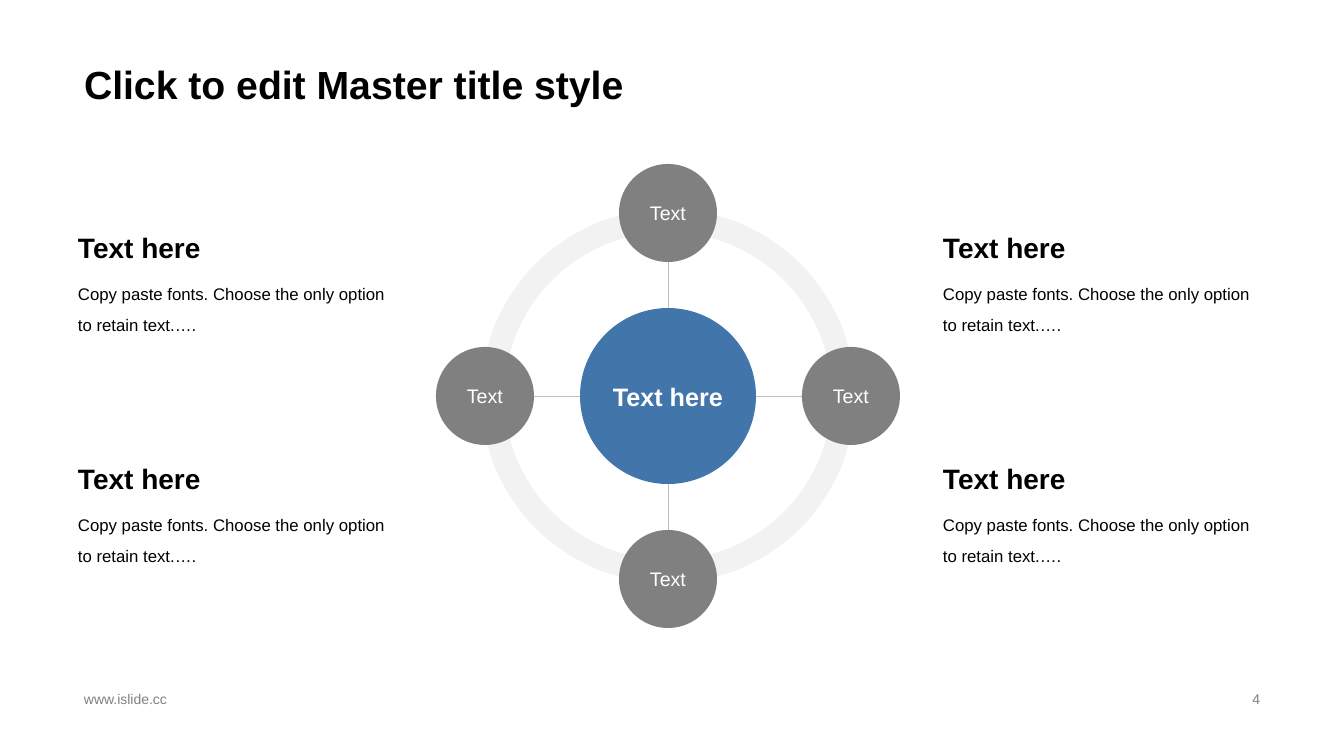
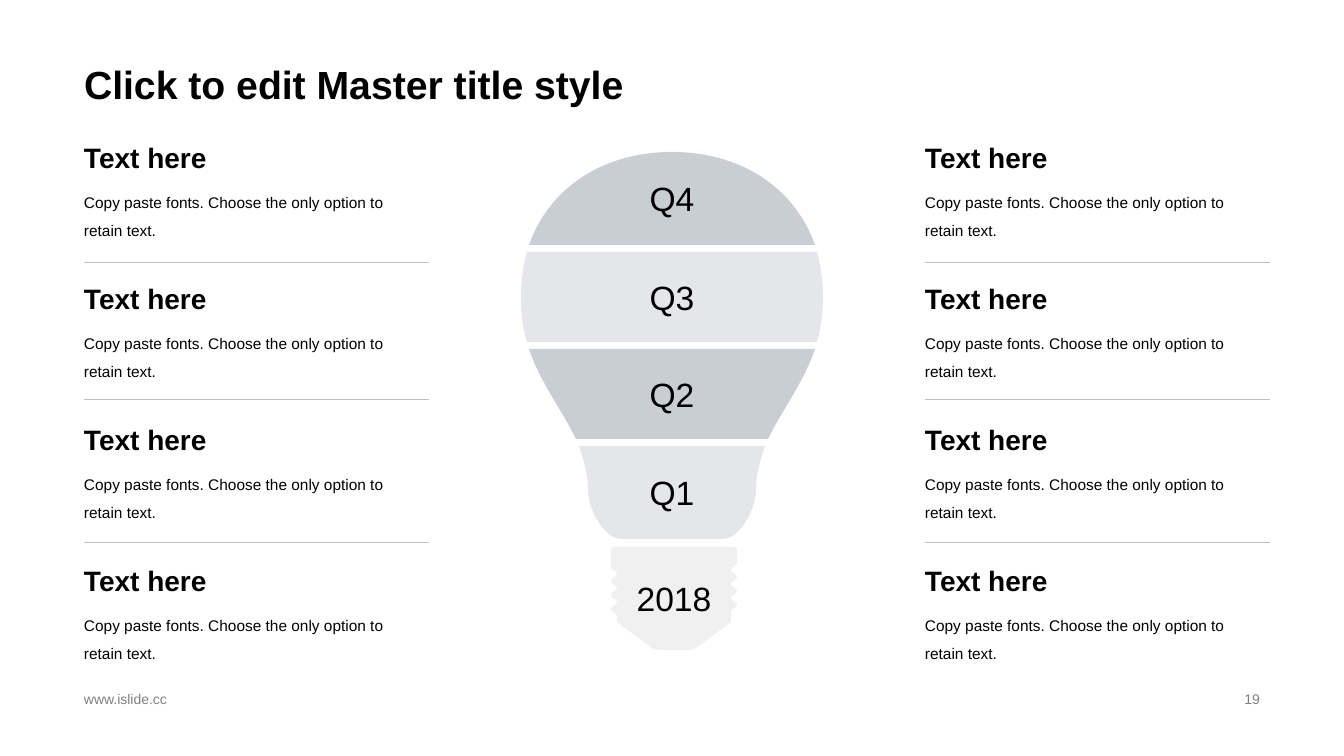
"""Build a hub-and-orbit slide and a quarterly light bulb slide."""
from dataclasses import dataclass

from lxml import etree
from pptx import Presentation
from pptx.dml.color import RGBColor
from pptx.enum.shapes import MSO_CONNECTOR as Connector, MSO_SHAPE as Preset
from pptx.enum.text import MSO_ANCHOR as Anchor, PP_ALIGN as Align
from pptx.oxml.ns import qn
from pptx.util import Pt

PX = 9072


@dataclass(frozen=True)
class Theme:
    font: str = "Arial"
    ink: str = "000000"
    white: str = "FFFFFF"
    muted: str = "808080"
    rule: str = "BFBFBF"
    ring: str = "F2F2F2"
    accent: str = "4276AA"
    glass_dark: str = "C9CED5"
    glass_light: str = "E4E6EA"
    socket: str = "F0F0F0"
    title: int = 28
    quarter: int = 24
    heading: int = 20
    hub: int = 18
    node: int = 14
    body: int = 12
    small_body: int = 11
    footer: int = 10


theme = Theme()


def write(shape, text, size, color=theme.ink, bold=False, align=Align.LEFT,
          anchor=Anchor.TOP, inset=(10, 5), spacing=1.0, wrap=True):
    frame = shape.text_frame
    frame.word_wrap = wrap
    frame.vertical_anchor = anchor
    frame.margin_left = frame.margin_right = inset[0] * PX
    frame.margin_top = frame.margin_bottom = inset[1] * PX
    para = frame.paragraphs[0]
    para.alignment = align
    para.line_spacing = spacing
    span = para.add_run()
    span.text = text
    span.font.name = theme.font
    span.font.size = Pt(size)
    span.font.bold = bold
    span.font.color.rgb = RGBColor.from_string(color)


def paint(shape, color):
    shape.shadow.inherit = False
    shape.fill.solid()
    shape.fill.fore_color.rgb = RGBColor.from_string(color)
    shape.line.fill.background()


deck = Presentation()
deck.slide_width, deck.slide_height = 1344 * PX, 756 * PX
blank = deck.slide_layouts[6]

pages = []
for number in ("4", "19"):
    page = deck.slides.add_slide(blank)
    pages.append(page)
    box = page.shapes.add_textbox(74 * PX, 0, 1196 * PX, 113 * PX)
    write(box, "Click to edit Master title style", theme.title, bold=True,
          anchor=Anchor.BOTTOM, spacing=0.9)
    for left, width, text, align in ((74, 457, "www.islide.cc", Align.LEFT),
                                     (950, 320, number, Align.RIGHT)):
        box = page.shapes.add_textbox(left * PX, 687 * PX, width * PX, 23 * PX)
        write(box, text, theme.footer, theme.muted, align=align,
              anchor=Anchor.MIDDLE)
orbit_page, bulb_page = pages

center_x, center_y, orbit = 668, 396, 183
node_size, hub_size, ring_size = 98, 176, 374
reach = orbit - node_size // 2

rules = [
    (orbit_page, center_x - reach, center_y, center_x + reach, center_y),
    (orbit_page, center_x, center_y - reach, center_x, center_y + reach),
]
for left in (84, 925):
    for y in (262, 399, 542):
        rules.append((bulb_page, left, y, left + 345, y))
for page, x1, y1, x2, y2 in rules:
    rule = page.shapes.add_connector(
        Connector.STRAIGHT, x1 * PX, y1 * PX, x2 * PX, y2 * PX)
    rule.line.color.rgb = RGBColor.from_string(theme.rule)
    rule.line.width = Pt(0.25)
    etree.SubElement(rule._element.spPr, qn("a:effectLst"))

ring = orbit_page.shapes.add_shape(
    Preset.DONUT, (center_x - ring_size // 2) * PX,
    (center_y - ring_size // 2) * PX, ring_size * PX, ring_size * PX)
ring.adjustments[0] = 0.062
paint(ring, theme.ring)

circles = [(0, 0, hub_size, "Text here", theme.hub, theme.accent, True)]
for dx, dy in ((0, -1), (1, 0), (0, 1), (-1, 0)):
    circles.append((dx, dy, node_size, "Text", theme.node, theme.muted, False))
for dx, dy, diameter, label, size, color, bold in circles:
    circle = orbit_page.shapes.add_shape(
        Preset.OVAL, (center_x + dx * orbit - diameter // 2) * PX,
        (center_y + dy * orbit - diameter // 2) * PX,
        diameter * PX, diameter * PX)
    paint(circle, color)
    write(circle, label, size, theme.white, bold, Align.CENTER,
          Anchor.MIDDLE, inset=(0, 0), wrap=False)

for left in (73, 938):
    for top in (229, 460):
        box = orbit_page.shapes.add_textbox(
            left * PX, top * PX, 332 * PX, 43 * PX)
        write(box, "Text here", theme.heading, bold=True, inset=(5, 2))
        box = orbit_page.shapes.add_textbox(
            left * PX, (top + 43) * PX, 332 * PX, 69 * PX)
        write(box, "Copy paste fonts. Choose the only option to retain text.….",
              theme.body, inset=(5, 2), spacing=1.5)

for left in (74, 915):
    for row in range(4):
        top = 125 + 141 * row
        box = bulb_page.shapes.add_textbox(
            left * PX, top * PX, 355 * PX, 54 * PX)
        write(box, "Text here", theme.heading, bold=True, anchor=Anchor.BOTTOM)
        box = bulb_page.shapes.add_textbox(
            left * PX, (top + 54) * PX, 355 * PX, 76 * PX)
        write(box, "Copy paste fonts. Choose the only option to retain text.",
              theme.small_body, spacing=1.5)

socket_sides = []
for thread_top in (563, 567):
    side = [(60, 547), (62, 547, 63, 548, 63, 550), (63, thread_top)]
    for tooth in range(7):
        start, end = (63, 57) if tooth % 2 == 0 else (57, 63)
        y = thread_top + 7 * tooth
        side.append((start, y + 4, end, y + 3, end, y + 7))
    side += [(57, 622), (22, 648), (20, 649, 17, 650, 14, 650)]
    socket_sides.append(side)

q4 = [(0, 152), (67, 152, 122, 186, 143, 245)]
q3 = [(145, 252), (149, 266, 151, 281, 151, 298),
      (151, 314, 149, 329, 145, 342)]
q2 = [(143, 349), (131, 384, 110, 410, 96, 439)]
q1 = [(93, 446), (88, 460, 84, 474, 84, 491), (84, 507, 69, 539, 50, 539)]
bulb_parts = [
    ("2018", theme.socket, 674, socket_sides),
    ("Q4", theme.glass_dark, 672, (q4, q4)),
    ("Q3", theme.glass_light, 672, (q3, q3)),
    ("Q1", theme.glass_light, 672, (q1, q1)),
    ("Q2", theme.glass_dark, 672, (q2, q2)),
]
for label, color, axis, (right_side, left_side) in bulb_parts:
    points, sizes = [], []
    for direction, side in ((1, right_side), (-1, left_side)):
        half = [((axis + direction * x) * PX, y * PX)
                for step in side for x, y in zip(step[::2], step[1::2])]
        points += half[::direction]
        sizes += [len(step) // 2 for step in side][::direction]
    sizes = sizes[1:]
    sizes[len(right_side) - 1:] = [1] + sizes[len(right_side) - 1:-1]

    controls, anchors, position = [], [points[0]], 1
    for size in sizes:
        controls.append(points[position:position + size - 1])
        position += size
        anchors.append(points[position - 1])
    builder = bulb_page.shapes.build_freeform(*anchors[0])
    builder.add_line_segments(anchors[1:], close=True)
    part = builder.convert_to_shape()
    segments = list(part._element.iter(qn("a:lnTo")))
    for segment, handles in zip(segments, controls):
        if handles:
            segment.tag = qn("a:cubicBezTo")
        for index, (x, y) in enumerate(handles):
            handle = etree.Element(
                qn("a:pt"), x=str(x - part.left), y=str(y - part.top))
            segment.insert(index, handle)
    paint(part, color)
    write(part, label, theme.quarter, align=Align.CENTER,
          anchor=Anchor.MIDDLE, wrap=False)

deck.save("out.pptx")
